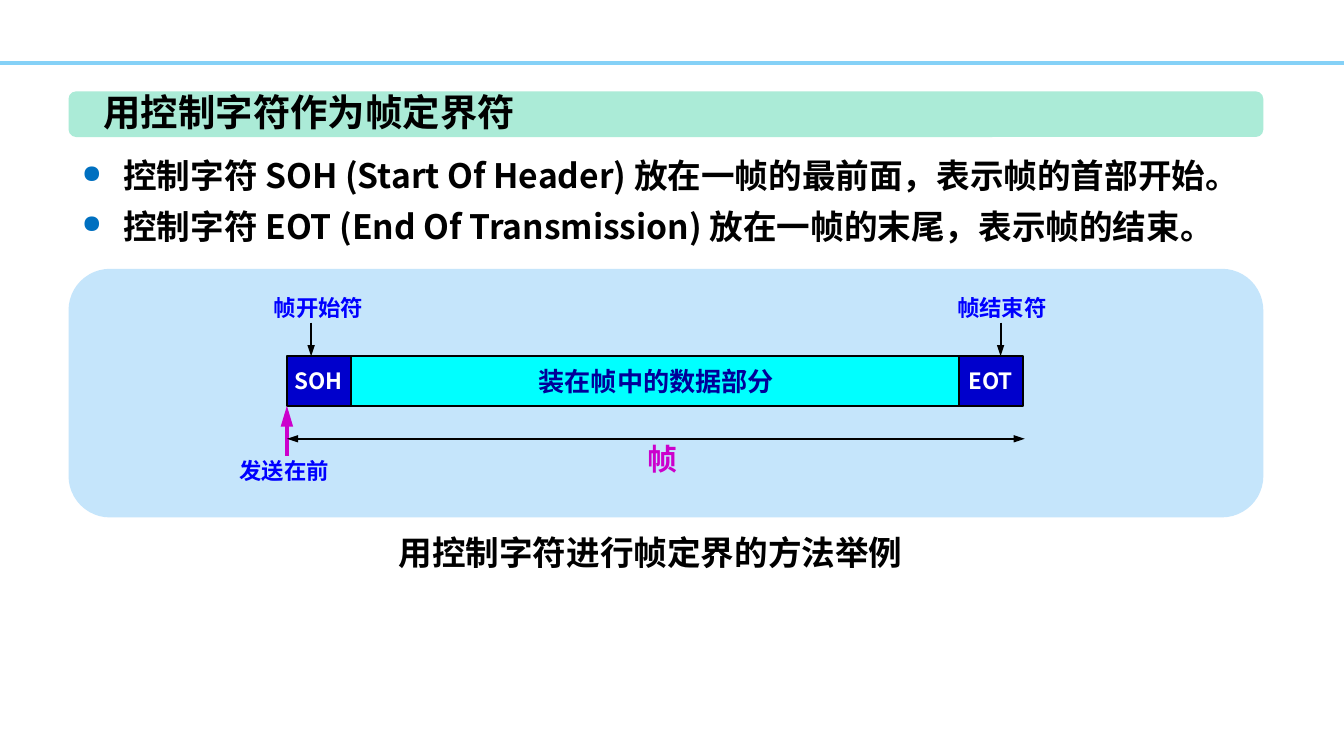
import pptx
import pptx.util
import pptx.dml.color
import pptx.enum.shapes
import pptx.enum.text
import pptx.oxml
import pptx.oxml.ns
from lxml import etree

SHAPE = pptx.enum.shapes.MSO_SHAPE
ALIGN = pptx.enum.text.PP_ALIGN
ANCHOR = pptx.enum.text.MSO_ANCHOR
AUTO = pptx.enum.text.MSO_AUTO_SIZE
qn = pptx.oxml.ns.qn

PX = 4572
W, H = 2000, 1125

THEME = {
    "font": "Noto Sans CJK SC",
    "rule": "85D1F7", "panel": "C5E5FB", "banner": "ABEBD7",
    "ink": "000000", "bullet": "0070C0", "label": "0000FF",
    "data": "00FFFF", "data_text": "000099",
    "control": "0000CC", "control_text": "FFFFFF", "accent": "CC00CC",
    "title_size": 20, "body_size": 18, "data_size": 14,
    "frame_size": 16, "label_size": 12, "leading": 27,
}

TITLE = "用控制字符作为帧定界符"
BULLETS = [
    "控制字符 SOH (Start Of Header) 放在一帧的最前面，表示帧的首部开始。",
    "控制字符 EOT (End Of Transmission) 放在一帧的末尾，表示帧的结束。",
]
CAPTION = "用控制字符进行帧定界的方法举例"

LEFT, WIDTH = 102, 1778
FRAME_L, FRAME_R, FRAME_T, FRAME_H = 427, 1522, 530, 74
FRAME_B = FRAME_T + FRAME_H
CELL_W = 95
LABEL_W, LABEL_H = 176, 60

CELLS = [
    ("装在帧中的数据部分", 500, 954, "data", "data_text", "data_size"),
    ("SOH", FRAME_L, CELL_W, "control", "control_text", "label_size"),
    ("EOT", FRAME_R - CELL_W, CELL_W, "control", "control_text", "label_size"),
]
LABELS = [
    ("帧开始符", (386, 428, LABEL_W, LABEL_H), "label", "label_size"),
    ("帧结束符", (1403, 428, LABEL_W, LABEL_H), "label", "label_size"),
    ("发送在前", (335, 671, LABEL_W, LABEL_H), "label", "label_size"),
    ("帧", (943, 646, 86, 74), "accent", "frame_size"),
]
SLIM = {"w": "sm", "len": "med"}
LONG = {"w": "med", "len": "lg"}
ARROWS = [
    ((463, 480), (463, FRAME_T), "ink", 1, ("tailEnd",), SLIM),
    ((1489, 480), (1489, FRAME_T), "ink", 1, ("tailEnd",), SLIM),
    ((FRAME_L, 678), (FRAME_L, FRAME_B), "accent", 2.25, ("tailEnd",), LONG),
    ((FRAME_L, 653), (FRAME_R + 3, 653), "ink", 1, ("headEnd", "tailEnd"), SLIM),
]


def emu(*lengths):
    return [v * PX for v in lengths]


def color(key):
    return pptx.dml.color.RGBColor.from_string(THEME[key])


def add_run(p, text, ink, size):
    r = p.add_run()
    r.text = text
    r.font.name = THEME["font"]
    r.font.size = pptx.util.Pt(THEME[size])
    r.font.bold = True
    r.font.color.rgb = color(ink)
    ea = etree.Element(qn("a:ea"), typeface=THEME["font"])
    r.font._element.find(qn("a:latin")).addnext(ea)


def add_block(s, kind, box, fill, line=None):
    sp = s.shapes.add_shape(kind, *emu(*box))
    sp.shadow.inherit = False
    sp.fill.solid()
    sp.fill.fore_color.rgb = color(fill)
    if line:
        sp.line.color.rgb = color(line)
        sp.line.width = pptx.util.Pt(1)
    else:
        sp.line.fill.background()
    return sp


def add_line(s, start, end, ink, width, heads=(), head_size=SLIM):
    cx = s.shapes.add_connector(
        pptx.enum.shapes.MSO_CONNECTOR.STRAIGHT, *emu(*start, *end))
    cx.line.color.rgb = color(ink)
    cx.line.width = pptx.util.Pt(width)
    ln = cx.line._get_or_add_ln()
    for head in heads:
        etree.SubElement(ln, qn("a:" + head), type="triangle", **head_size)
    etree.SubElement(cx._element.spPr, qn("a:effectLst"))


def add_text(s, text, box, ink, size, wrap=False):
    tf = s.shapes.add_textbox(*emu(*box)).text_frame
    tf.word_wrap = wrap
    tf.auto_size = AUTO.SHAPE_TO_FIT_TEXT
    p = tf.paragraphs[0]
    p.alignment = ALIGN.CENTER
    add_run(p, text, ink, size)


def add_title(s):
    sp = s.shapes.title
    sp.left, sp.top, sp.width, sp.height = emu(134, 123, 658, 88)
    tf = sp.text_frame
    tf.word_wrap = False
    tf.auto_size = AUTO.SHAPE_TO_FIT_TEXT
    tf.vertical_anchor = ANCHOR.TOP
    p = tf.paragraphs[0]
    p.alignment = ALIGN.LEFT
    add_run(p, TITLE, "ink", "title_size")
    sp.element.getparent().append(sp.element)


def add_bullets(s):
    tf = s.shapes.add_textbox(*emu(LEFT, 206, WIDTH, 164)).text_frame
    tf.word_wrap = True
    tf.auto_size = AUTO.SHAPE_TO_FIT_TEXT
    for i, text in enumerate(BULLETS):
        p = tf.add_paragraph() if i else tf.paragraphs[0]
        pPr = p._p.get_or_add_pPr()
        pPr.set("marL", str(62 * PX))
        pPr.set("indent", str(-62 * PX))
        clr = etree.SubElement(pPr, qn("a:buClr"))
        etree.SubElement(clr, qn("a:srgbClr"), val=THEME["bullet"])
        etree.SubElement(pPr, qn("a:buSzPct"), val="75000")
        etree.SubElement(pPr, qn("a:buChar"), char="●")
        p.line_spacing = pptx.util.Pt(THEME["leading"])
        add_run(p, text, "ink", "body_size")


def main():
    prs = pptx.Presentation()
    prs.slide_width, prs.slide_height = emu(W, H)
    s = prs.slides.add_slide(prs.slide_layouts[5])

    add_line(s, (0, 94), (W, 94), "rule", 2)
    add_block(s, SHAPE.ROUNDED_RECTANGLE, (LEFT, 400, WIDTH, 370), "panel")
    add_block(s, SHAPE.ROUNDED_RECTANGLE, (LEFT, 136, WIDTH, 68), "banner")
    add_title(s)
    add_bullets(s)

    for text, left, width, fill, ink, size in CELLS:
        sp = add_block(s, SHAPE.RECTANGLE, (left, FRAME_T, width, FRAME_H), fill, "ink")
        tf = sp.text_frame
        tf.word_wrap = False
        tf.vertical_anchor = ANCHOR.MIDDLE
        p = tf.paragraphs[0]
        p.alignment = ALIGN.CENTER
        add_run(p, text, ink, size)
    for arrow in ARROWS:
        add_line(s, *arrow)
    for label in LABELS:
        add_text(s, *label)
    add_text(s, CAPTION, (573, 782, 790, 80), "ink", "body_size", wrap=True)

    prs.save("out.pptx")


if __name__ == "__main__":
    main()
